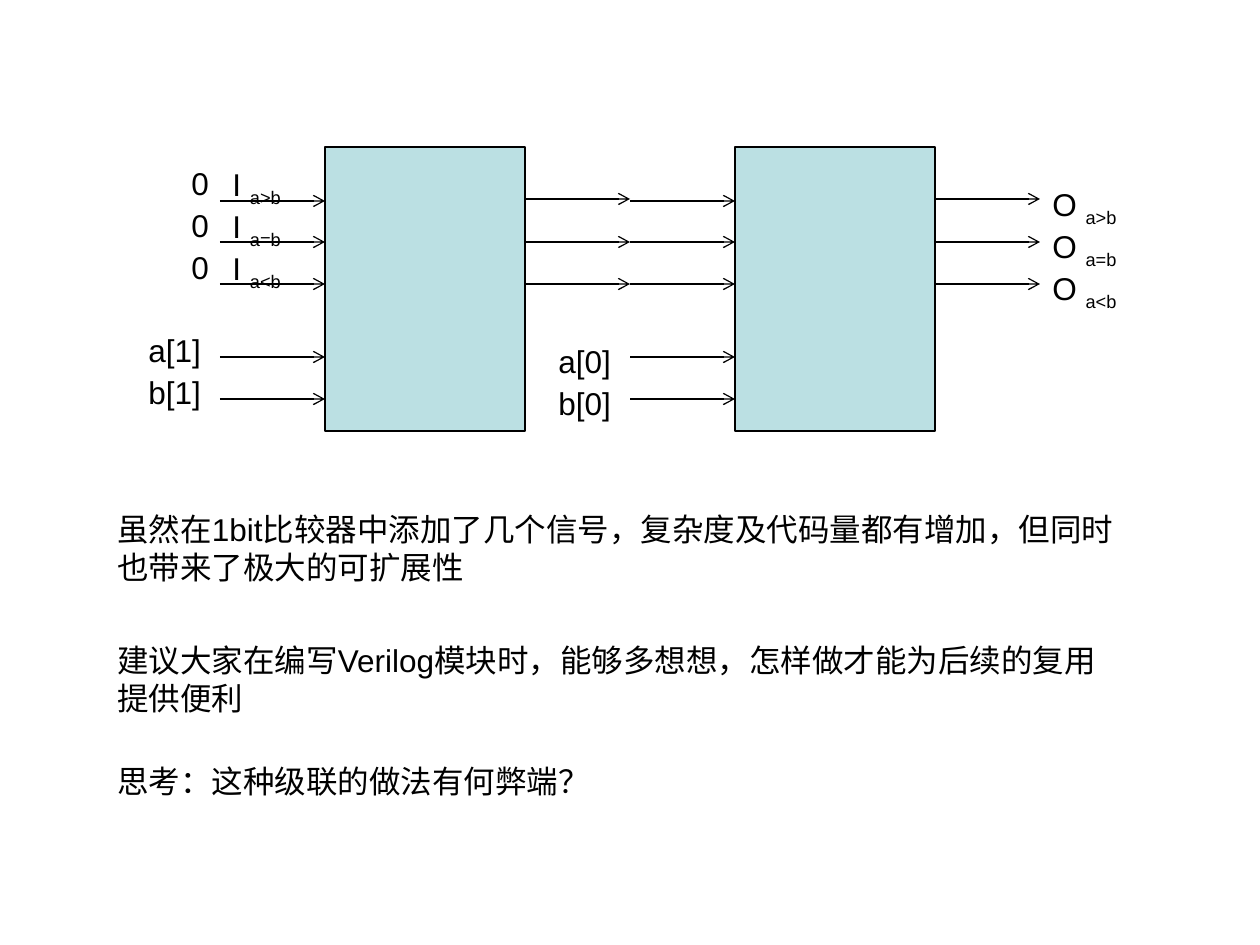
from lxml.etree import SubElement
from pptx import Presentation
from pptx.dml.color import RGBColor
from pptx.enum.shapes import MSO_CONNECTOR, MSO_SHAPE
from pptx.enum.text import MSO_AUTO_SIZE
from pptx.oxml.ns import qn
from pptx.util import Pt

PX = 914400 / 126
BLACK = RGBColor(0x00, 0x00, 0x00)
PALE_TEAL = RGBColor(0xBB, 0xE0, 0xE3)

BLOCK_TOP, BLOCK_WIDTH, BLOCK_HEIGHT = 147, 200, 284
WIRE_LENGTH = 105
ROW_STEP = 42
CASCADE_IN_ROWS = (201, 242, 284)
CASCADE_OUT_ROWS = (199, 242, 284)
DATA_ROWS = (357, 399)
RELATIONS = ("a>b", "a=b", "a<b")


def px(length):
    return round(length * PX)


def add_text(slide, left, top, width, height, text, subscript="", size=18, color=BLACK):
    box = slide.shapes.add_textbox(px(left), px(top), px(width), px(height))
    frame = box.text_frame
    frame.word_wrap = True
    frame.auto_size = MSO_AUTO_SIZE.SHAPE_TO_FIT_TEXT
    paragraph = frame.paragraphs[0]
    for content in filter(None, (text, subscript)):
        run = paragraph.add_run()
        run.text = content
        run.font.size = Pt(size)
        run.font.name = "Arial"
        run.font.color.rgb = color
    if subscript:
        run.font._element.set("baseline", "-25000")


def add_wire(slide, left, y):
    """Draw a horizontal signal arrow pointing right."""
    wire = slide.shapes.add_connector(
        MSO_CONNECTOR.STRAIGHT, px(left), px(y), px(left + WIRE_LENGTH), px(y))
    wire.line.color.rgb = BLACK
    wire.line.width = Pt(0.75)
    SubElement(wire.line._get_or_add_ln(), qn("a:tailEnd"), type="arrow")
    SubElement(wire._element.spPr, qn("a:effectLst"))


def add_comparator(slide, left):
    """Draw one comparator block with its input and output wires."""
    block = slide.shapes.add_shape(
        MSO_SHAPE.RECTANGLE, px(left), px(BLOCK_TOP), px(BLOCK_WIDTH), px(BLOCK_HEIGHT))
    block.shadow.inherit = False
    block.fill.solid()
    block.fill.fore_color.rgb = PALE_TEAL
    block.line.color.rgb = BLACK
    block.line.width = Pt(0.75)
    for y in CASCADE_IN_ROWS + DATA_ROWS:
        add_wire(slide, left - WIRE_LENGTH, y)
    for y in CASCADE_OUT_ROWS:
        add_wire(slide, left + BLOCK_WIDTH, y)


def add_data_labels(slide, left, top, bit):
    for row, name in enumerate("ab"):
        add_text(slide, left, top + row * ROW_STEP, 84, 50, f"{name}[{bit}]")


def add_cascade_labels(slide):
    for row, relation in enumerate(RELATIONS):
        offset = row * ROW_STEP
        add_text(slide, 179, 158 + offset, 42, 50, "0")
        add_text(slide, 220, 159 + offset, 105, 55, "I ", subscript=relation)
        add_text(slide, 1040, 179 + offset, 126, 55, "O ", subscript=relation)


def main():
    presentation = Presentation()
    presentation.slide_width = px(1260)
    presentation.slide_height = px(945)
    slide = presentation.slides.add_slide(presentation.slide_layouts[6])

    for left in (325, 735):
        add_comparator(slide, left)
    add_data_labels(slide, 136, 325, bit=1)
    add_data_labels(slide, 546, 336, bit=0)
    add_cascade_labels(slide)

    remarks = (
        (504, 88, "虽然在1bit比较器中添加了几个信号，复杂度及代码量都有增加，但同时也带来了极大的可扩展性"),
        (635, 88, "建议大家在编写Verilog模块时，能够多想想，怎样做才能为后续的复用提供便利"),
        (756, 50, "思考：这种级联的做法有何弊端？"),
    )
    for top, height, text in remarks:
        add_text(slide, 105, top, 1029, height, text)

    presentation.save("out.pptx")


if __name__ == "__main__":
    main()
